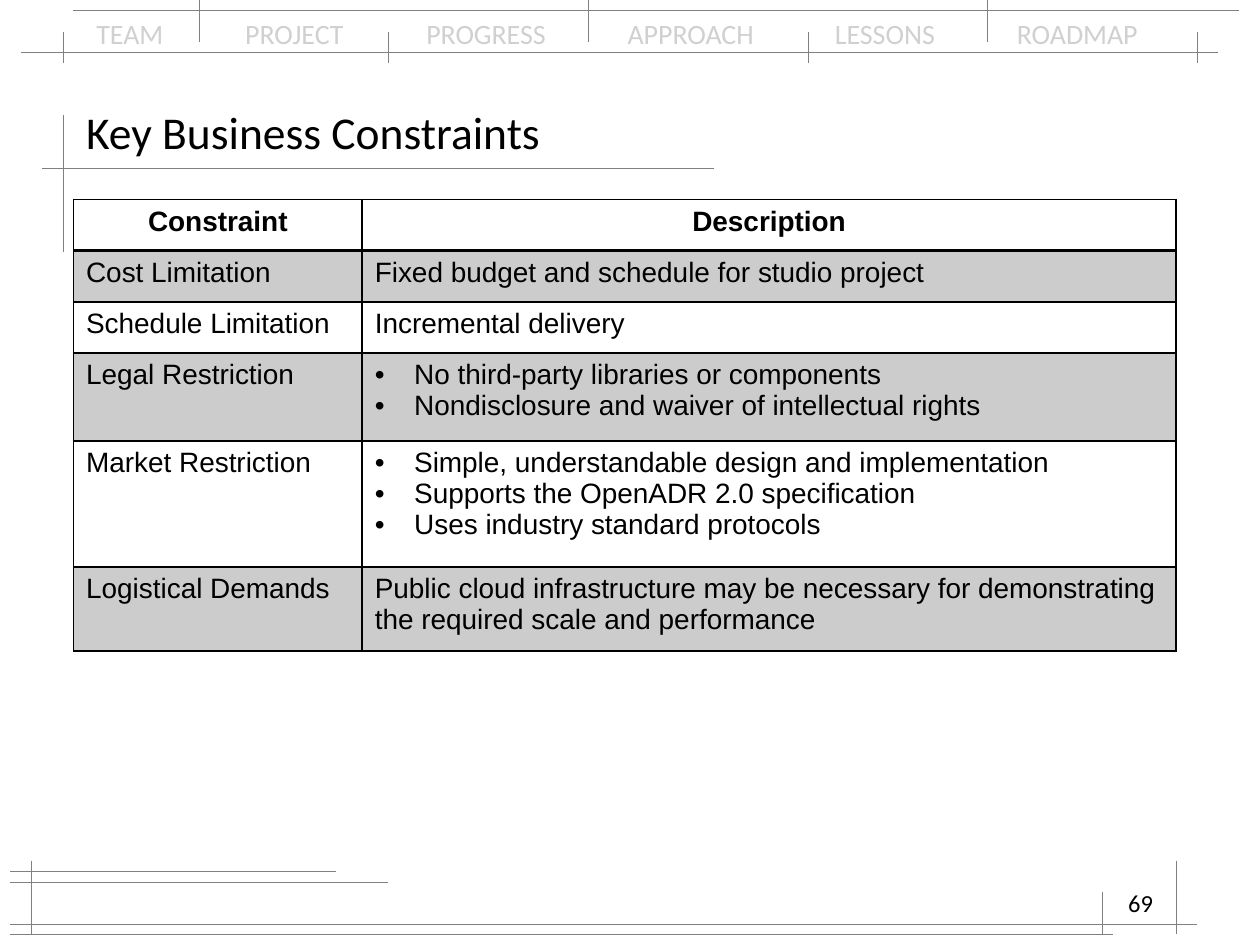
"""Build the Key Business Constraints slide."""
from typing import NamedTuple

from lxml.etree import SubElement
from pptx import Presentation
from pptx.dml.color import RGBColor
from pptx.enum.shapes import MSO_CONNECTOR as Connector
from pptx.enum.text import MSO_ANCHOR as Anchor, PP_ALIGN as Align
from pptx.oxml.ns import qn
from pptx.util import Pt

BLACK = RGBColor(0, 0, 0)
GRAY = RGBColor(0x80, 0x80, 0x80)
PALE = RGBColor(0xD0, 0xD0, 0xD0)

SECTIONS = ["TEAM", "PROJECT", "PROGRESS", "APPROACH", "LESSONS", "ROADMAP"]
SECTION_TABS = [85, 188.5, 303.5, 422, 526]
COLUMN_WIDTHS = [165, 465]
BULLET_INDENT = 22.5


class Rule(NamedTuple):
    x1: float
    y1: float
    x2: float
    y2: float


class Constraint(NamedTuple):
    name: str
    description: list[str]
    height: float


RULES = [
    Rule(12, 30, 696, 30),
    Rule(42, 6, 708, 6),
    Rule(36, 66, 36, 144),
    Rule(24, 96, 408, 96),
    Rule(6, 504, 222, 504),
    Rule(6, 528, 684, 528),
    Rule(18, 492, 18, 534),
    Rule(6, 498, 192, 498),
    Rule(6, 534, 636, 534),
    Rule(672, 492, 672, 534),
    Rule(630, 510, 630, 534),
    *(Rule(x, 18, x, 36) for x in (36, 222, 462, 684)),
    *(Rule(x, 0, x, 24) for x in (114, 336, 564)),
]

CONSTRAINTS = [
    Constraint("Constraint", ["Description"], 29.25),
    Constraint("Cost Limitation", ["Fixed budget and schedule for studio project"], 29.25),
    Constraint("Schedule Limitation", ["Incremental delivery"], 29.25),
    Constraint("Legal Restriction", [
        "No third-party libraries or components",
        "Nondisclosure and waiver of intellectual rights",
    ], 50.4),
    Constraint("Market Restriction", [
        "Simple, understandable design and implementation",
        "Supports the OpenADR 2.0 specification",
        "Uses industry standard protocols",
    ], 72),
    Constraint("Logistical Demands", [
        "Public cloud infrastructure may be necessary for demonstrating "
        "the required scale and performance",
    ], 48),
]


def style(paragraph, size: float, color: RGBColor = BLACK, font: str = "Calibri",
          align: Align = Align.LEFT, bold: bool = False) -> None:
    """Format a paragraph and its runs."""
    paragraph.alignment = align
    for run in paragraph.runs:
        run.font.size = Pt(size)
        run.font.name = font
        run.font.bold = bold
        run.font.color.rgb = color


def place(shape, left: float, top: float, width: float, height: float) -> None:
    """Move and size a shape in points."""
    shape.left, shape.top = Pt(left), Pt(top)
    shape.width, shape.height = Pt(width), Pt(height)


def draw_rule(slide, rule: Rule) -> None:
    """Draw one thin decorative line."""
    line = slide.shapes.add_connector(Connector.STRAIGHT, *map(Pt, rule))
    line.line.color.rgb = GRAY
    line.line.width = Pt(0.3)
    SubElement(line._element.spPr, qn("a:effectLst"))


def draw_label(slide, left: float, top: float, width: float, height: float, text: str):
    """Add a wrapping text box and return its paragraph."""
    frame = slide.shapes.add_textbox(*map(Pt, (left, top, width, height))).text_frame
    frame.word_wrap = True
    frame.text = text
    return frame.paragraphs[0]


def draw_navigation(slide) -> None:
    """Draw the section names on tab stops."""
    names = draw_label(slide, 48, 6, 624, 26.5, "\t".join(SECTIONS))
    style(names, 16, PALE)
    stops = SubElement(names._p.get_or_add_pPr(), qn("a:tabLst"))
    for position in SECTION_TABS:
        SubElement(stops, qn("a:tab"), pos=str(Pt(position)), algn="l")


def add_bullet(paragraph) -> None:
    """Give a paragraph a hanging bullet."""
    properties = paragraph._p.get_or_add_pPr()
    properties.set("marL", str(Pt(BULLET_INDENT)))
    properties.set("indent", str(-Pt(BULLET_INDENT)))
    SubElement(properties, qn("a:buFont"), typeface="Arial")
    SubElement(properties, qn("a:buChar"), char="•")


def add_borders(cell, top: float, bottom: float) -> None:
    """Outline a cell in black."""
    properties = cell._tc.get_or_add_tcPr()
    for side, width in {"L": 1, "R": 1, "T": top, "B": bottom}.items():
        border = SubElement(properties, qn(f"a:ln{side}"), w=str(Pt(width)))
        fill = SubElement(border, qn("a:solidFill"))
        SubElement(fill, qn("a:srgbClr"), val=str(BLACK))


def shade(cell) -> None:
    """Fill a cell with black at 20% opacity."""
    cell.fill.solid()
    cell.fill.fore_color.rgb = BLACK
    color = cell._tc.tcPr.find(f"{qn('a:solidFill')}/{qn('a:srgbClr')}")
    SubElement(color, qn("a:alpha"), val="20000")


def fill_cell(cell, lines: list[str], row: int) -> None:
    """Write and format one table cell."""
    header = row == 0
    cell.text = "\n".join(lines)
    for paragraph in cell.text_frame.paragraphs:
        style(paragraph, 16, font="Arial", bold=header,
              align=Align.CENTER if header else Align.LEFT)
        if len(lines) > 1:
            add_bullet(paragraph)
    add_borders(cell, top=2 if row == 1 else 1, bottom=2 if header else 1)
    if row % 2:
        shade(cell)
    else:
        cell.fill.background()


def draw_constraints(slide) -> None:
    """Draw the constraint table."""
    height = sum(constraint.height for constraint in CONSTRAINTS)
    table = slide.shapes.add_table(
        len(CONSTRAINTS), len(COLUMN_WIDTHS),
        Pt(42), Pt(114), Pt(sum(COLUMN_WIDTHS)), Pt(height)).table
    for column, width in zip(table.columns, COLUMN_WIDTHS):
        column.width = Pt(width)
    for row, constraint in enumerate(CONSTRAINTS):
        table.rows[row].height = Pt(constraint.height)
        fill_cell(table.cell(row, 0), [constraint.name], row)
        fill_cell(table.cell(row, 1), constraint.description, row)


def main() -> None:
    """Build and save the slide."""
    deck = Presentation()
    deck.slide_width, deck.slide_height = Pt(720), Pt(540)
    slide = deck.slides.add_slide(deck.slide_layouts[5])

    draw_navigation(slide)
    for rule in RULES:
        draw_rule(slide, rule)

    title = slide.shapes.title
    place(title, 42, 54, 636, 42)
    title.text_frame.text = "Key Business Constraints"
    title.text_frame.vertical_anchor = Anchor.MIDDLE
    style(title.text_frame.paragraphs[0], 26)

    style(draw_label(slide, 516, 504, 150, 36, "69"), 14, align=Align.RIGHT)
    draw_constraints(slide)
    deck.save("out.pptx")


if __name__ == "__main__":
    main()
